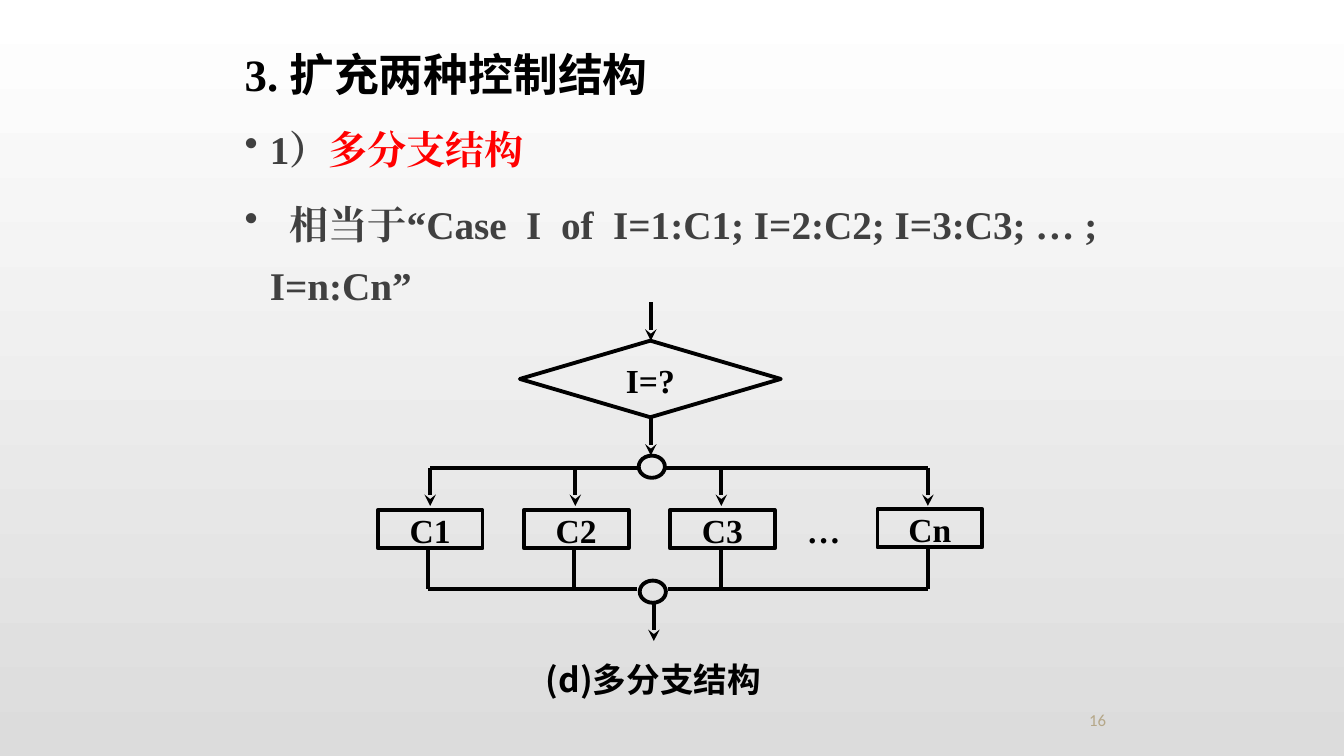
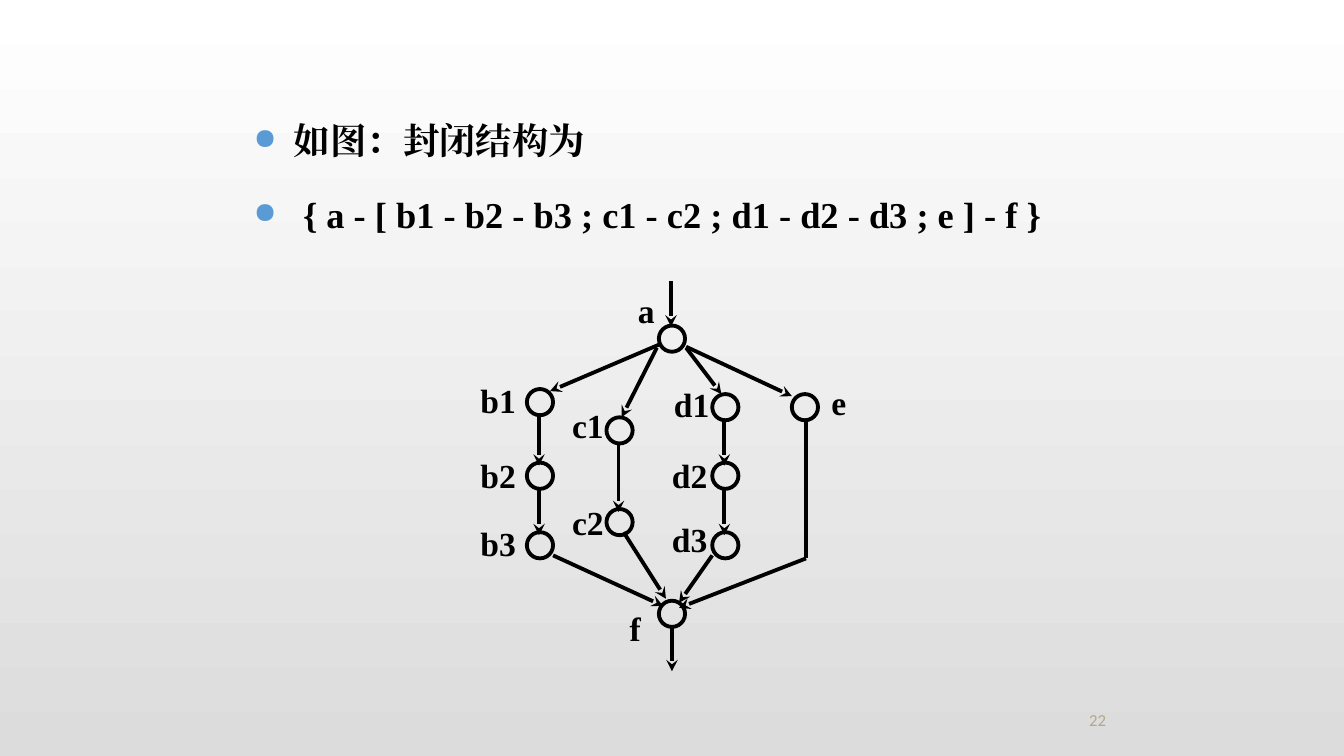
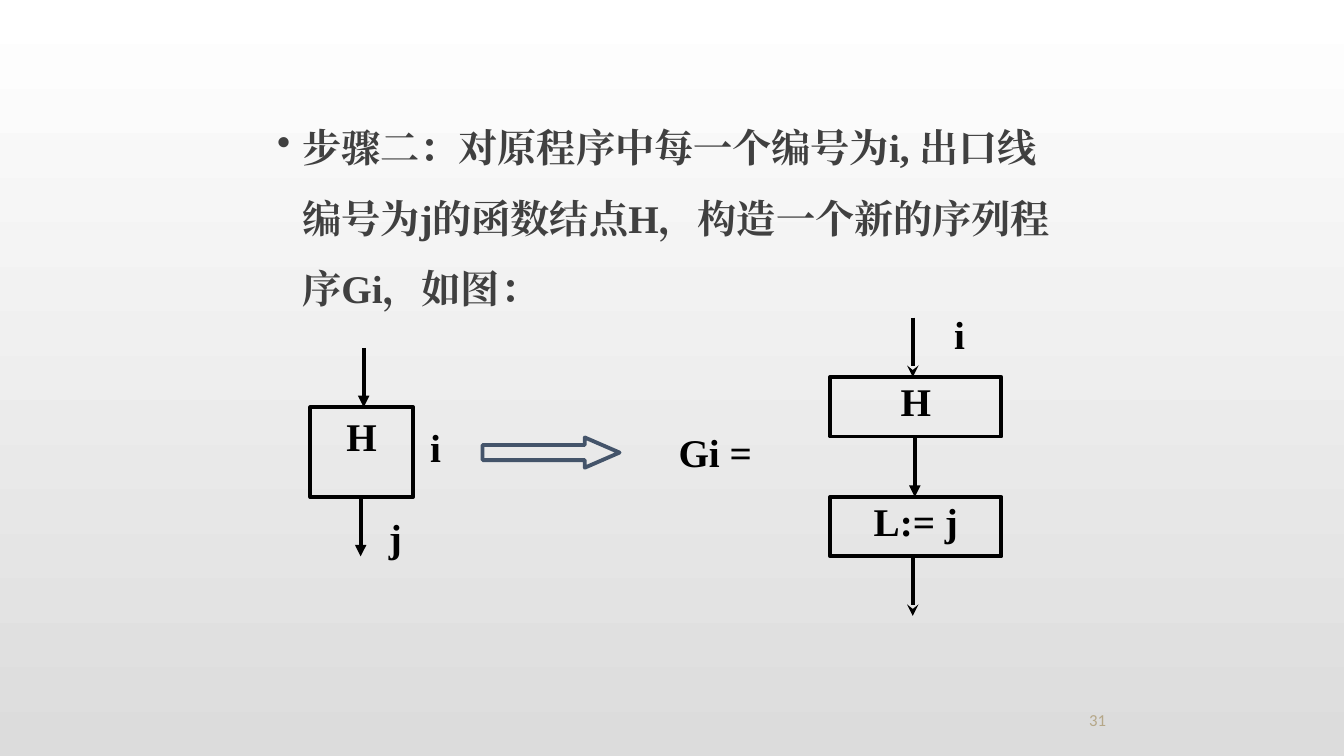
from lxml import etree
from pptx import Presentation
from pptx.dml.color import RGBColor
from pptx.enum.shapes import MSO_CONNECTOR, MSO_SHAPE
from pptx.enum.text import MSO_ANCHOR, PP_ALIGN
from pptx.oxml.ns import qn
from pptx.util import Pt

PX = 9144  # 100 px to the inch
RECT, OVAL = MSO_SHAPE.RECTANGLE, MSO_SHAPE.OVAL
DECISION, BLOCK_ARROW = MSO_SHAPE.FLOWCHART_DECISION, MSO_SHAPE.RIGHT_ARROW
STRAIGHT = MSO_CONNECTOR.STRAIGHT
LEFT, CENTER, JUSTIFY = PP_ALIGN.LEFT, PP_ALIGN.CENTER, PP_ALIGN.JUSTIFY
TOP, BOTTOM = MSO_ANCHOR.TOP, MSO_ANCHOR.BOTTOM

SERIF, CJK, SANS = "Times New Roman", "Noto Sans CJK SC", "Calibri"
COLORS = {"ink": "000000", "body": "404040", "accent": "FF0000",
          "bullet": "5B9BD5", "arrow": "44546A", "number": "B5A788",
          "top": "FFFFFF", "bottom": "DCDCDC"}
LINE_WIDTH = Pt(2.75)


def place(slide, box, paragraphs=(), kind=None, size=24, align=CENTER,
          inset=(0, 0), line="ink", anchor=TOP, bold=True):
    """Text box, or outlined shape; a run is (text, font, colour)."""
    left, top, width, height = [v * PX for v in box]
    if kind is None:
        item = slide.shapes.add_textbox(left, top, width, height)
    else:
        item = slide.shapes.add_shape(kind, left, top, width, height)
        item.shadow.inherit = False
        item.fill.background()
        item.line.color.rgb = RGBColor.from_string(COLORS[line])
        item.line.width = LINE_WIDTH
    frame = item.text_frame
    frame.word_wrap = True
    frame.vertical_anchor = anchor
    frame.margin_left = frame.margin_right = inset[0] * PX
    frame.margin_top = frame.margin_bottom = inset[1] * PX
    for number, runs in enumerate(paragraphs):
        paragraph = frame.add_paragraph() if number else frame.paragraphs[0]
        paragraph.alignment = align
        for text, face, color in runs:
            run = paragraph.add_run()
            run.text = text
            run.font.name = face
            run.font.size = Pt(size)
            run.font.bold = bold
            run.font.color.rgb = RGBColor.from_string(COLORS[color])
            latin = run.font._element.find(qn("a:latin"))
            east_asian = etree.Element(qn("a:ea"), typeface=face)
            latin.addnext(east_asian)
    return item


def connect(slide, x1, y1, x2, y2, head="stealth"):
    """Straight line with an optional arrowhead at its end."""
    link = slide.shapes.add_connector(STRAIGHT, x1 * PX, y1 * PX, x2 * PX, y2 * PX)
    link.line.color.rgb = RGBColor.from_string(COLORS["ink"])
    link.line.width = LINE_WIDTH
    if head:
        etree.SubElement(link.line._get_or_add_ln(), qn("a:tailEnd"), type=head)
    etree.SubElement(link._element.spPr, qn("a:effectLst"))


prs = Presentation()
prs.slide_width, prs.slide_height = 1334 * PX, 750 * PX

# Shared background
backdrop = prs.slide_master.background.fill
backdrop.gradient()
backdrop.gradient_angle = 270
for stop, shade in zip(backdrop.gradient_stops, ("top", "bottom")):
    stop.color.rgb = RGBColor.from_string(COLORS[shade])

# Slides with their page numbers
slides = []
for page in ("16", "22", "31"):
    slide = prs.slides.add_slide(prs.slide_layouts[6])
    place(slide, (942, 694, 295, 35), [[(page, SANS, "number")]], size=12,
          inset=(10, 5), anchor=BOTTOM, bold=False)
    slides.append(slide)
branching, closed, step_two = slides

# Bulleted text: slide, box, inset, size, line spacing, before, after,
# bullet, bullet colour, bullet size in %, hang, paragraphs as (margin, runs)
bodies = [
    (branching, (233, 105, 867, 217), (10, 5), 28, 1.3, 0, 10, "•", "body", 100, 25, [
        (25, [("1）", SERIF, "body"), ("多分支结构", SERIF, "accent")]),
        (25, [("  相当于“Case  I  of  I=1:C1; I=2:C2; I=3:C3; … ; I=n:Cn”",
               SERIF, "body")])]),
    (closed, (233, 91, 850, 158), (10, 5), 26, 1.5, 6, 0, "●", "bullet", 80, 31, [
        (49, [("如图：封闭结构为", SERIF, "ink")]),
        (58, [("{ a - [ b1 - b2 - b3 ; c1 - c2 ; d1 - d2 - d3 ; e ] - f }",
               SERIF, "ink")])]),
    (step_two, (275, 94, 775, 233), (0, 5), 28, 1.5, 0, 10, "•", "body", 100, 25, [
        (25, [("步骤二：对原程序中每一个编号为i, 出口线编号为j的函数结点H，"
               "构造一个新的序列程序Gi，如图：", SERIF, "body")])]),
]
for (slide, box, inset, size, spacing, before, after,
     bullet, bullet_color, bullet_size, hang, content) in bodies:
    body = place(slide, box, [runs for _, runs in content], size=size,
                 align=LEFT, inset=inset)
    bullet_left = content[0][0] - hang
    if slide is closed:
        bullet_left = 9
    for paragraph, (margin, _) in zip(body.text_frame.paragraphs, content):
        paragraph.line_spacing = spacing
        paragraph.space_before, paragraph.space_after = Pt(before), Pt(after)
        props = paragraph._p.get_or_add_pPr()
        props.set("marL", str(margin * PX))
        props.set("indent", str((bullet_left - margin) * PX))
        tint = etree.SubElement(props, qn("a:buClr"))
        etree.SubElement(tint, qn("a:srgbClr"), val=COLORS[bullet_color])
        etree.SubElement(props, qn("a:buSzPct"), val=str(bullet_size * 1000))
        etree.SubElement(props, qn("a:buChar"), char=bullet)

# Slide 1: title and multi-way branch
place(branching, (233, 41, 550, 64),
      [[("3. ", SERIF, "ink"), ("扩充两种控制结构", CJK, "ink")]],
      size=32, align=LEFT, inset=(10, 5))
place(branching, (516, 338, 259, 76), [[("I=?", SERIF, "ink")]], DECISION)
for junction in ((634, 452), (635, 576)):
    place(branching, (*junction, 26, 22), kind=OVAL)
for x, y in ((646, 300), (646, 414), (649, 598)):
    connect(branching, x, y, x, y + 38)
for x1, x2, y in ((427, 634, 464), (660, 921, 464), (425, 632, 584), (663, 921, 584)):
    connect(branching, x1, y, x2, y, None)
# label, box left, box top, entry x, exit x
cases = [("C1", 375, 506, 427, 425), ("C2", 520, 506, 571, 570),
         ("C3", 665, 506, 716, 716), ("Cn", 871, 505, 921, 921)]
for label, left, top, entry, leave in cases:
    place(branching, (left, top, 104, 38), [[(label, SERIF, "ink")]], RECT)
    connect(branching, entry, 464, entry, 502)
    connect(branching, leave, 544, leave, 584, None)
place(branching, (740, 506, 155, 38), [[("…", SERIF, "ink")]])
place(branching, (532, 654, 233, 38), [[("(d)多分支结构", CJK, "ink")]])

# Slide 2: closed structure, each node with its corner and label corner
nodes = {"a": (654, 323, 602, 288), "b1": (523, 386, 455, 377),
         "b2": (523, 459, 455, 451), "b3": (523, 528, 455, 519),
         "c1": (602, 414, 544, 402), "c2": (602, 505, 544, 498),
         "d1": (707, 391, 647, 381), "d2": (707, 459, 645, 451),
         "d3": (707, 528, 645, 515), "e": (786, 391, 793, 379),
         "f": (654, 596, 591, 603)}
for label, (left, top, label_left, label_top) in nodes.items():
    place(closed, (left, top, 26, 26), kind=OVAL)
    place(closed, (label_left, label_top, 79, 45), [[(label, SERIF, "ink")]])
for upper, lower in (("b1", "b2"), ("b2", "b3"), ("c1", "c2"), ("d1", "d2"), ("d2", "d3")):
    x = nodes[upper][0] + 12
    connect(closed, x, nodes[upper][1] + 26, x, nodes[lower][1] + 3)
for ends in ((666, 279, 666, 324), (667, 621, 667, 666),
             (654, 342, 546, 388), (652, 345, 617, 414),
             (681, 345, 716, 391), (681, 344, 786, 393),
             (549, 551, 658, 601), (619, 528, 661, 594),
             (707, 551, 674, 598), (800, 554, 674, 603)):
    connect(closed, *ends)
connect(closed, 800, 417, 800, 554, None)

# Slide 3: node H becomes the sequence Gi
place(step_two, (308, 404, 102, 89), [[("H", SERIF, "ink")]], RECT, 28, inset=(10, 5))
for label, top in (("H", 374), ("L:= j", 493)):
    place(step_two, (824, top, 170, 59), [[(label, SERIF, "ink")]], RECT, 28)
for x, y, head in ((361, 345, "triangle"), (358, 493, "triangle"),
                   (908, 434, "triangle"), (906, 315, "stealth"), (906, 552, "stealth")):
    connect(step_two, x, y, x, y + 59, head)
becomes = place(step_two, (479, 434, 136, 30), kind=BLOCK_ARROW, line="arrow")
becomes.adjustments[0], becomes.adjustments[1] = 0.5, 1.15
place(step_two, (625, 425, 170, 118), [[("Gi =", SERIF, "ink")]], size=28)
for label, left, top in (("i", 427, 420), ("i", 947, 308), ("j", 386, 509)):
    place(step_two, (left, top, 86, 59), [[(label, SERIF, "ink")]], size=28, align=JUSTIFY)

prs.save("out.pptx")
